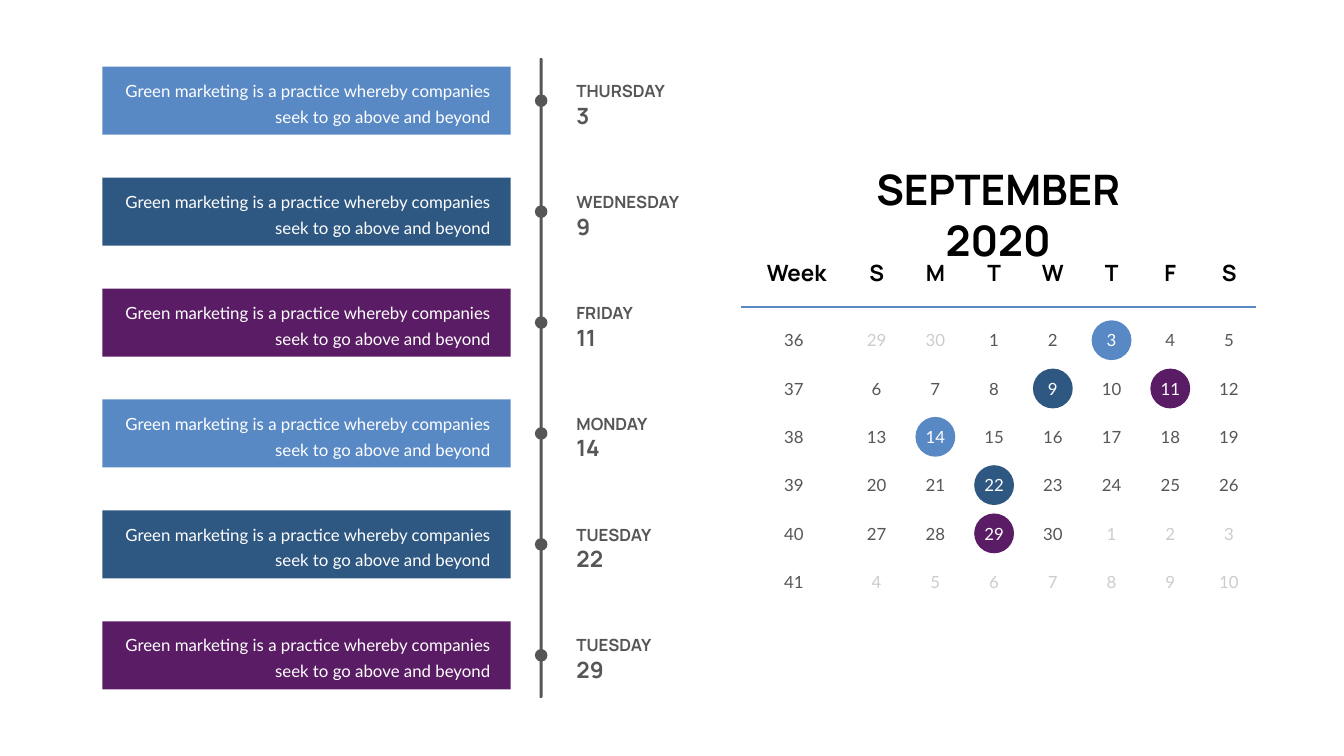
from dataclasses import dataclass

from lxml import etree
from pptx import Presentation
from pptx.dml.color import RGBColor
from pptx.enum.shapes import MSO_CONNECTOR, MSO_SHAPE
from pptx.enum.text import MSO_ANCHOR, MSO_AUTO_SIZE, PP_ALIGN
from pptx.oxml.ns import qn
from pptx.util import Pt

RECTANGLE, ROUNDED, OVAL = MSO_SHAPE.RECTANGLE, MSO_SHAPE.ROUNDED_RECTANGLE, MSO_SHAPE.OVAL
LEFT, CENTER, RIGHT = PP_ALIGN.LEFT, PP_ALIGN.CENTER, PP_ALIGN.RIGHT
TOP, MIDDLE = MSO_ANCHOR.TOP, MSO_ANCHOR.MIDDLE
STRAIGHT, FIXED_SIZE = MSO_CONNECTOR.STRAIGHT, MSO_AUTO_SIZE.NONE

BLUE, NAVY, PURPLE = "5889C5", "2E5882", "5A1C64"
BLACK, WHITE, GREY, FADED = "000000", "FFFFFF", "565656", "CCCCCC"
HEADING_FONT, BODY_FONT = "Manrope", "Lato"

# Calendar grid: centres of the first day cell and distances between cells
WEEK_X, FIRST_DAY_X, DAY_STEP = 1133.9, 1252, 83.88
FIRST_ROW_Y, ROW_STEP = 486, 69
MARKER_SIZE = 56.88
FIRST_WEEK = 36

# Timeline: top of the first bar and distance between events
FIRST_BAR_Y, EVENT_STEP = 95.3, 158.45
BAR_HEIGHT, DOT_SIZE, AXIS_X = 97.2, 18, 772.9
DESCRIPTION = "Green marketing is a practice whereby companies seek to go above and beyond"


@dataclass(frozen=True)
class Box:
    left: float
    top: float
    width: float
    height: float

    def lengths(self) -> tuple:
        return Pt(self.left), Pt(self.top), Pt(self.width), Pt(self.height)


@dataclass(frozen=True)
class Style:
    size: float
    font: str
    color: str
    bold: bool = False


@dataclass(frozen=True)
class Event:
    weekday: str
    day: int
    color: str


EVENTS = [
    Event("THURSDAY", 3, BLUE),
    Event("WEDNESDAY", 9, NAVY),
    Event("FRIDAY", 11, PURPLE),
    Event("MONDAY", 14, BLUE),
    Event("TUESDAY", 22, NAVY),
    Event("TUESDAY", 29, PURPLE),
]
DAY_HEADINGS = [("S", 34.6), ("M", 43.9), ("T", 34.6), ("W", 48.2),
                ("T", 34.6), ("F", 32.4), ("S", 34.6)]


def rgb(color: str) -> RGBColor:
    return RGBColor.from_string(color)


def centered(x: float, y: float, width: float, height: float) -> Box:
    return Box(x - width / 2, y - height / 2, width, height)


def format_paragraph(paragraph, style: Style, align, spacing=None) -> None:
    paragraph.alignment = align
    paragraph.line_spacing = spacing
    font = paragraph.font
    font.size, font.name, font.bold = Pt(style.size), style.font, style.bold
    font.color.rgb = rgb(style.color)


def add_text(slide, box: Box, lines: list[tuple[str, Style]], align=CENTER,
             anchor=MIDDLE, wrap: bool = False, spacing=None) -> None:
    frame = slide.shapes.add_textbox(*box.lengths()).text_frame
    frame.word_wrap = wrap
    frame.vertical_anchor = anchor
    for index, (text, style) in enumerate(lines):
        paragraph = frame.add_paragraph() if index else frame.paragraphs[0]
        paragraph.text = text
        format_paragraph(paragraph, style, align, spacing)


def add_filled(slide, kind, box: Box, color: str):
    shape = slide.shapes.add_shape(kind, *box.lengths())
    shape.shadow.inherit = False
    shape.fill.solid()
    shape.fill.fore_color.rgb = rgb(color)
    shape.line.fill.background()
    return shape


def add_title(slide) -> None:
    title = slide.shapes.title
    title.left, title.top, title.width, title.height = Box(1165.7, 230.4, 519.8, 79.9).lengths()
    frame = title.text_frame
    frame.text = "SEPTEMBER 2020"
    frame.word_wrap = True
    frame.auto_size = FIXED_SIZE
    frame.vertical_anchor = TOP
    format_paragraph(frame.paragraphs[0], Style(60, HEADING_FONT, BLACK, True), CENTER, 1.0)


def add_calendar_header(slide) -> None:
    style = Style(32, HEADING_FONT, BLACK, True)
    top, height = 366.5, 46
    add_text(slide, Box(1079.6, top, 108, height), [("Week", style)], RIGHT, TOP)
    for column, (letter, width) in enumerate(DAY_HEADINGS):
        x = FIRST_DAY_X + column * DAY_STEP
        add_text(slide, Box(x - width / 2, top, width, height), [(letter, style)], anchor=TOP)

    rule = slide.shapes.add_connector(STRAIGHT, Pt(1057.7), Pt(438.5), Pt(1793.5), Pt(438.5))
    rule.line.color.rgb = rgb(BLUE)
    rule.line.width = Pt(3)
    etree.SubElement(rule._element.spPr, qn("a:effectLst"))


def add_number(slide, number: int, x: float, y: float, color: str) -> None:
    text = str(number)
    width = 15 + 13.7 * len(text)
    add_text(slide, centered(x, y, width, 36), [(text, Style(24, BODY_FONT, color))])


def add_calendar_days(slide) -> None:
    marked = {event.day: event.color for event in EVENTS}
    days = [(day, False) for day in (29, 30)]
    days += [(day, True) for day in range(1, 31)]
    days += [(day, False) for day in range(1, 11)]

    for index, (day, in_month) in enumerate(days):
        row, column = divmod(index, 7)
        x, y = FIRST_DAY_X + column * DAY_STEP, FIRST_ROW_Y + row * ROW_STEP
        if column == 0:
            add_number(slide, FIRST_WEEK + row, WEEK_X, y, GREY)
        color = GREY if in_month else FADED
        if in_month and day in marked:
            add_filled(slide, OVAL, centered(x, y, MARKER_SIZE, MARKER_SIZE), marked[day])
            color = WHITE
        add_number(slide, day, x, y, color)


def add_timeline(slide) -> None:
    axis = add_filled(slide, ROUNDED, Box(770.6, 82.8, 4.3, 914.4), GREY)
    axis.adjustments[0] = 0.5
    weekday_style = Style(24, HEADING_FONT, GREY, True)
    day_style = Style(32, HEADING_FONT, GREY, True)

    for index, event in enumerate(EVENTS):
        top = FIRST_BAR_Y + index * EVENT_STEP
        middle = top + BAR_HEIGHT / 2
        add_filled(slide, OVAL, centered(AXIS_X, middle, DOT_SIZE, DOT_SIZE), GREY)
        add_filled(slide, RECTANGLE, Box(146.2, top, 583.2, BAR_HEIGHT), event.color)
        add_text(slide, Box(168.5, middle - 38.9, 538.6, 77.8),
                 [(DESCRIPTION, Style(24, BODY_FONT, WHITE))], RIGHT, wrap=True, spacing=Pt(37))
        add_text(slide, Box(816.2, middle - 43.9, 169.9, 87.8),
                 [(event.weekday, weekday_style), (str(event.day), day_style)],
                 LEFT, wrap=True, spacing=Pt(40))


def main() -> None:
    presentation = Presentation()
    presentation.slide_width, presentation.slide_height = Pt(1919.52), Pt(1080)
    slide = presentation.slides.add_slide(presentation.slide_layouts[5])
    add_title(slide)
    add_calendar_header(slide)
    add_calendar_days(slide)
    add_timeline(slide)
    presentation.save("out.pptx")


if __name__ == "__main__":
    main()
